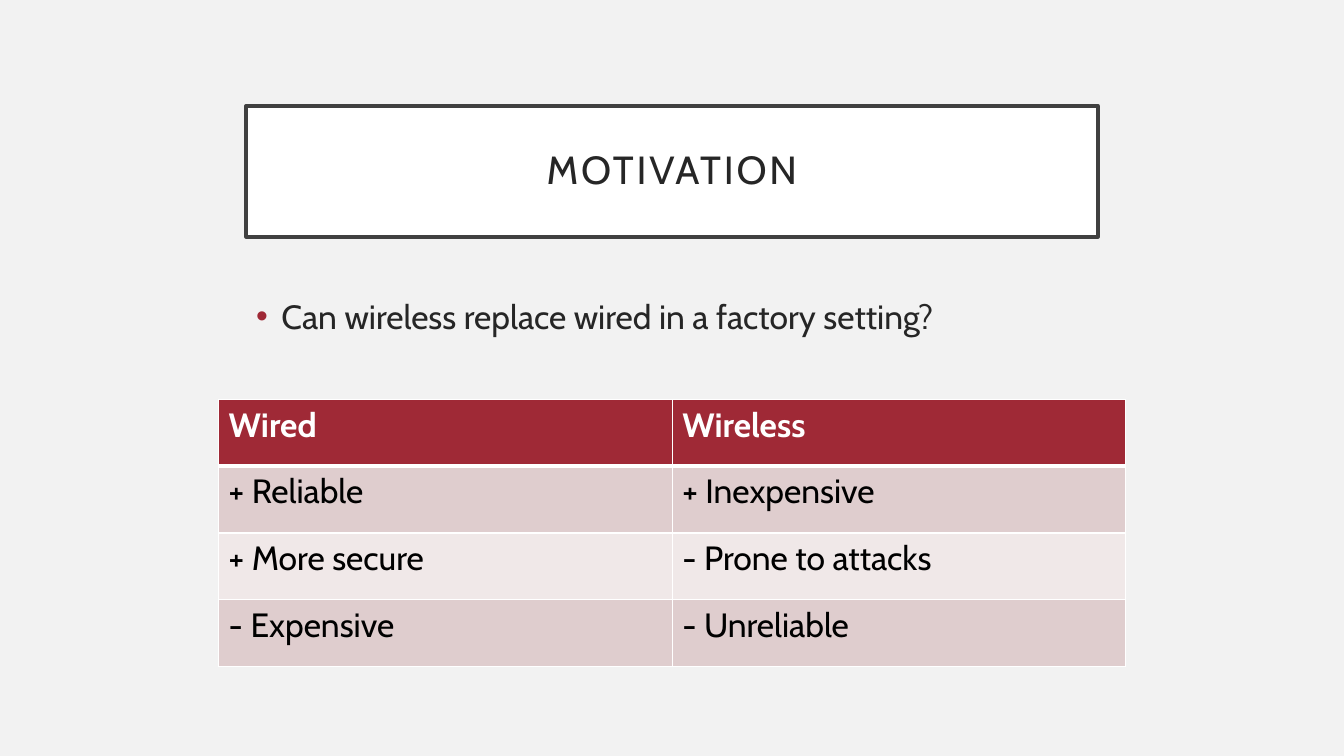
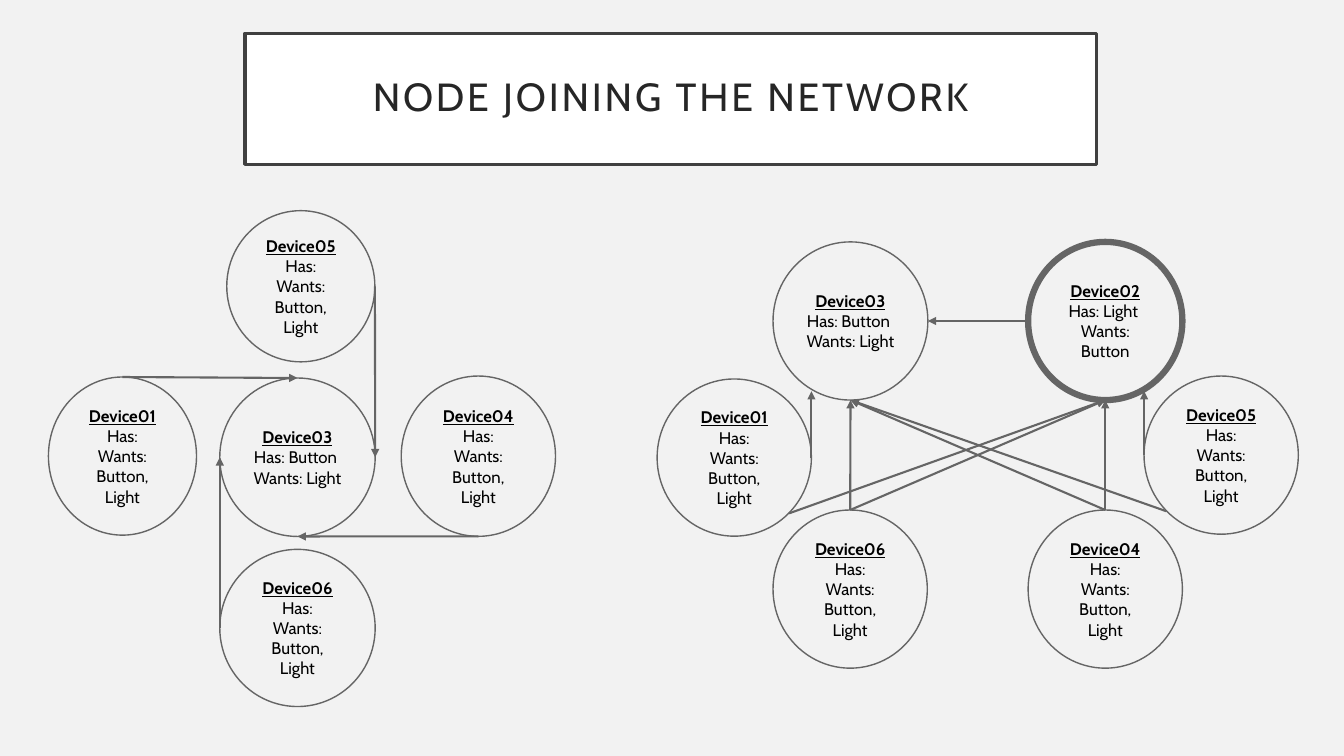
from lxml import etree
from pptx import Presentation
from pptx.dml.color import RGBColor
from pptx.enum import shapes, text
from pptx.oxml.ns import qn
from pptx.util import Pt

FONT = "Cabin"
PALE, WHITE, BLACK = "F2F2F2", "FFFFFF", "000000"
INK, EDGE, RED, GREY = "262626", "404040", "9F2936", "656565"


def hue(code):
    return RGBColor.from_string(code)


def say(par, words, size=12, color=BLACK, bold=False, under=False,
        align=text.PP_ALIGN.LEFT, track=0, lead=1.0):
    par.alignment = align
    par.line_spacing = lead
    par.space_before = Pt(0)
    run = par.add_run()
    run.text = words
    font = run.font
    font.name, font.size, font.bold, font.underline = FONT, Pt(size), bold, under
    font.color.rgb = hue(color)
    if track:
        run._r.get_or_add_rPr().set("spc", str(track * 100))


deck = Presentation()
deck.slide_width, deck.slide_height = Pt(960), Pt(540)
back = deck.slide_master.background.fill
back.solid()
back.fore_color.rgb = hue(PALE)

pages = []
for kind, words, left, top in [
    (1, "MOTIVATION", 175.8, 75.6),
    (5, "NODE JOINING THE NETWORK", 175, 23.8),
]:
    page = deck.slides.add_slide(deck.slide_layouts[kind])
    pages.append(page)
    title = page.shapes.title
    title.left, title.top, title.width, title.height = Pt(left), Pt(top), Pt(608.4), Pt(93.6)
    title.fill.solid()
    title.fill.fore_color.rgb = hue(WHITE)
    title.line.color.rgb = hue(EDGE)
    title.line.width = Pt(2.5)
    frame = title.text_frame
    frame.auto_size = text.MSO_AUTO_SIZE.NONE
    frame.vertical_anchor = text.MSO_ANCHOR.MIDDLE
    frame.margin_left = frame.margin_right = Pt(14.4)
    frame.margin_top = frame.margin_bottom = Pt(14.4)
    say(frame.paragraphs[0], words, size=28, color=INK, track=2, lead=0.9,
        align=text.PP_ALIGN.CENTER)

first, second = pages

body = first.placeholders[1]
body.left, body.top, body.width, body.height = Pt(175.8), Pt(207.4), Pt(608.4), Pt(244)
body.text_frame.auto_size = text.MSO_AUTO_SIZE.NONE
par = body.text_frame.paragraphs[0]
props = par._p.get_or_add_pPr()
props.set("marL", str(Pt(18)))
props.set("indent", str(Pt(-18)))
tint = etree.SubElement(props, qn("a:buClr"))
etree.SubElement(tint, qn("a:srgbClr")).set("val", RED)
etree.SubElement(props, qn("a:buFont")).set("typeface", "Arial")
etree.SubElement(props, qn("a:buChar")).set("char", "•")
say(par, "Can wireless replace wired in a factory setting?", size=24, color=INK)

rows = [
    ("Wired", "Wireless"),
    ("+ Reliable", "+ Inexpensive"),
    ("+ More secure", "- Prone to attacks"),
    ("- Expensive", "- Unreliable"),
]
fills = [RED, "DFCDCE", "F0E8E8", "DFCDCE"]
grid = first.shapes.add_table(4, 2, Pt(156.2), Pt(285.4), Pt(648), Pt(190.8)).table
for r, row in enumerate(rows):
    grid.rows[r].height = Pt(47.7)
    for c, words in enumerate(row):
        cell = grid.cell(r, c)
        say(cell.text_frame.paragraphs[0], words, size=24, bold=r == 0,
            color=WHITE if r == 0 else BLACK)
        props = cell._tc.get_or_add_tcPr()
        for side in "LRTB":
            thick = (r, side) in [(0, "B"), (1, "T")]
            rule = etree.SubElement(props, qn("a:ln" + side))
            rule.set("w", str(Pt(3 if thick else 1)))
            paint = etree.SubElement(rule, qn("a:solidFill"))
            etree.SubElement(paint, qn("a:srgbClr")).set("val", WHITE)
        cell.fill.solid()
        cell.fill.fore_color.rgb = hue(fills[r])

both = ["Has:", "Wants: Button, Light"]
button = ["Has: Button ", "Wants: Light"]
light = ["Has: Light ", "Wants: Button"]
nodes = {
    "L3": (157, 270, 111, 113.2, button),
    "L1": (34.6, 269.3, 105.8, 113, both),
    "L4": (286.6, 268.6, 110.2, 114.5, both),
    "L5": (162, 150.5, 105.8, 108, both),
    "L6": (157, 392.4, 111, 112.3, both),
    "R3": (552.2, 172.8, 110.6, 113, button),
    "R1": (469.4, 270.7, 110.2, 112.3, both),
    "R4": (734.4, 364.3, 110.2, 113, both),
    "R5": (817.2, 268.6, 110.2, 113, both),
    "R6": (552.2, 364.3, 110.2, 113, both),
    "R2": (734.4, 172.8, 110.2, 113, light),
}
diag = 0.71
sites = {"N": (0, -1), "E": (1, 0), "S": (0, 1), "W": (-1, 0),
         "SE": (diag, diag), "SW": (-diag, diag)}
spots = {}
for key, (x, y, w, h, facts) in nodes.items():
    node = second.shapes.add_shape(shapes.MSO_SHAPE.OVAL, Pt(x), Pt(y), Pt(w), Pt(h))
    node.shadow.inherit = False
    node.fill.solid()
    node.fill.fore_color.rgb = hue(PALE)
    node.line.color.rgb = hue(GREY)
    node.line.width = Pt(4.5 if key == "R2" else 1)
    frame = node.text_frame
    frame.word_wrap = True
    frame.vertical_anchor = text.MSO_ANCHOR.MIDDLE
    say(frame.paragraphs[0], "Device0" + key[1], bold=True, under=True,
        align=text.PP_ALIGN.CENTER)
    for fact in facts:
        say(frame.add_paragraph(), fact, align=text.PP_ALIGN.CENTER)
    for site, (dx, dy) in sites.items():
        spots[key, site] = (x + w / 2 * (1 + dx), y + h / 2 * (1 + dy))

links = [
    ("L1", "N", "L3", "N"), ("L5", "E", "L3", "E"),
    ("L4", "S", "L3", "S"), ("L6", "W", "L3", "W"),
    ("R5", "SW", "R3", "S"), ("R1", "SE", "R2", "S"),
    ("R6", "N", "R3", "S"), ("R6", "N", "R2", "S"),
    ("R4", "N", "R2", "S"), ("R4", "N", "R3", "S"),
    ("R2", "W", "R3", "E"),
]
wires = [(spots[a, p], spots[b, q]) for a, p, b, q in links]
for spot in [spots["R1", "E"], spots["R5", "W"]]:
    wires.append((spot, (spot[0], 279.4)))

for start, end in wires:
    wire = second.shapes.add_connector(
        shapes.MSO_CONNECTOR.STRAIGHT, *[Pt(n) for n in start + end])
    wire.line.color.rgb = hue(GREY)
    wire.line.width = Pt(1.5)
    shape = wire._element.spPr
    etree.SubElement(shape.find(qn("a:ln")), qn("a:tailEnd")).set("type", "triangle")
    etree.SubElement(shape, qn("a:effectLst"))

deck.save("out.pptx")
